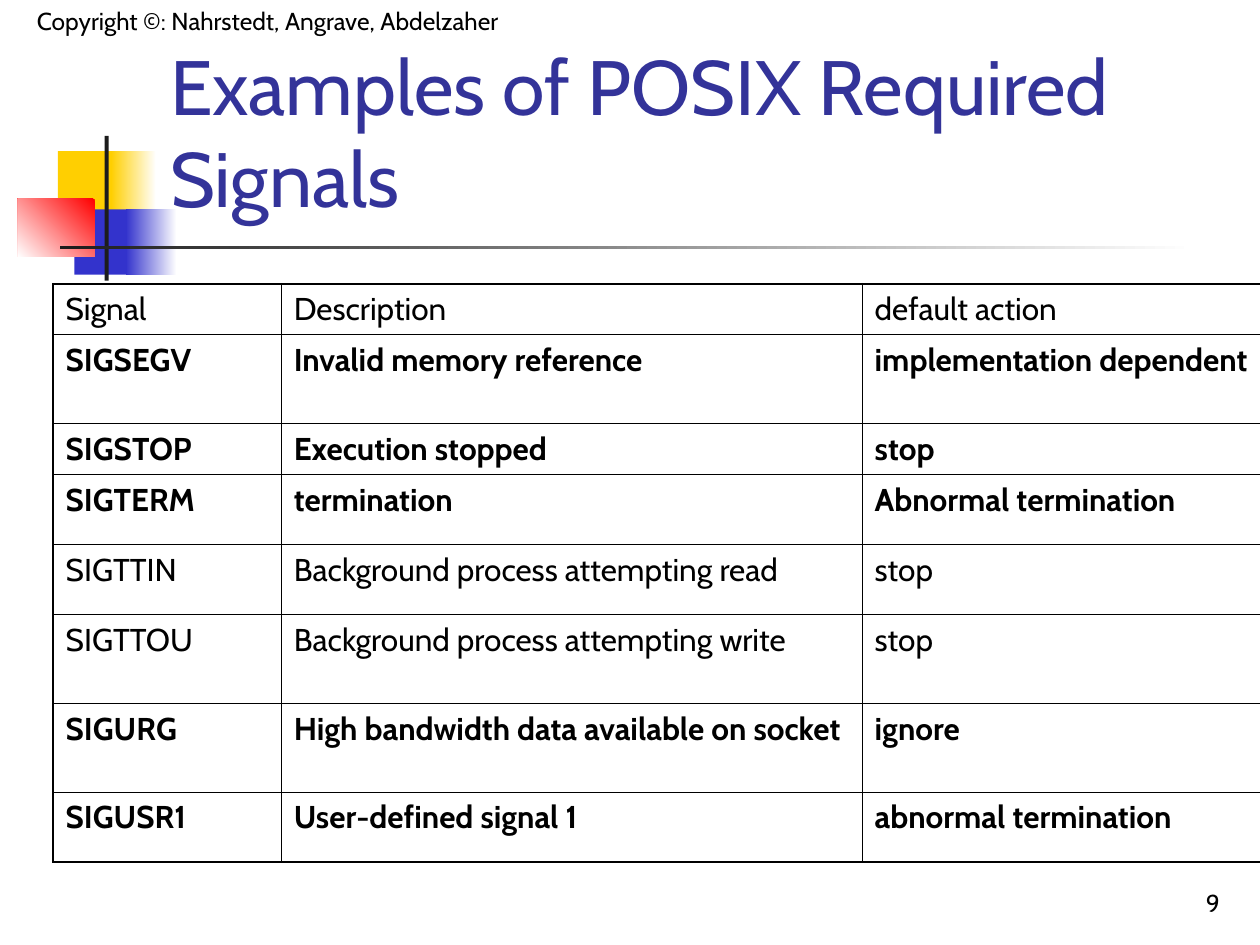
"""Builds a slide with a table of POSIX required signals."""
from lxml.etree import SubElement
from pptx import Presentation
from pptx.dml.color import RGBColor
from pptx.enum.shapes import MSO_SHAPE
from pptx.enum.text import MSO_ANCHOR, PP_ALIGN
from pptx.oxml.ns import qn
from pptx.util import Cm, Pt

BLACK = RGBColor(0x00, 0x00, 0x00)
CHARCOAL = RGBColor(0x1C, 0x1C, 0x1C)
WHITE = RGBColor(0xFF, 0xFF, 0xFF)
YELLOW = RGBColor(0xFF, 0xCF, 0x01)
BLUE = RGBColor(0x33, 0x33, 0xCC)
RED = RGBColor(0xFF, 0x00, 0x00)
INDIGO = RGBColor(0x33, 0x33, 0x99)

FONT = "Cabin"
OUTER, INNER = Pt(1.08), Pt(0.45)

COLUMNS = (4.6, 11.71, 8.03)
ROWS = (
    (1.03, False, "Signal", "Description", "default action"),
    (1.79, True, "SIGSEGV", "Invalid memory reference", "implementation dependent"),
    (1.03, True, "SIGSTOP", "Execution stopped", "stop"),
    (1.41, True, "SIGTERM", "termination", "Abnormal termination"),
    (1.41, False, "SIGTTIN", "Background process attempting read", "stop"),
    (1.79, False, "SIGTTOU", "Background process attempting write", "stop"),
    (1.79, True, "SIGURG", "High bandwidth data available on socket", "ignore"),
    (1.41, True, "SIGUSR1", "User-defined signal 1", "abnormal termination"),
)


def write(frame, text, size=18, color=BLACK, bold=False, align=PP_ALIGN.LEFT, before=0):
    para = frame.paragraphs[0]
    para.alignment = align
    para.space_before = Pt(before)
    span = para.add_run()
    span.text = text
    span.font.name = FONT
    span.font.size = Pt(size)
    span.font.bold = bold
    span.font.color.rgb = color


def draw_border(cell, side, width):
    properties = cell._tc.get_or_add_tcPr()
    line = SubElement(properties, qn(f"a:ln{side}"), w=str(int(width)))
    fill = SubElement(line, qn("a:solidFill"))
    SubElement(fill, qn("a:srgbClr"), val=str(BLACK))


class SlidePainter:
    def __init__(self, page):
        self.page = page

    def block(self, left, top, width, height, color, end=None, angle=0):
        shape = self.page.shapes.add_shape(
            MSO_SHAPE.RECTANGLE, Cm(left), Cm(top), Cm(width), Cm(height))
        shape.shadow.inherit = False
        shape.line.fill.background()
        if end is None:
            shape.fill.solid()
            shape.fill.fore_color.rgb = color
            return
        shape.fill.gradient()
        shape.fill.gradient_angle = angle
        for stop, shade in zip(shape.fill.gradient_stops, (color, end)):
            stop.color.rgb = shade

    def label(self, left, top, width, height, text, **style):
        box = self.page.shapes.add_textbox(Cm(left), Cm(top), Cm(width), Cm(height))
        frame = box.text_frame
        frame.word_wrap = True
        frame.vertical_anchor = MSO_ANCHOR.BOTTOM
        write(frame, text, **style)

    def table(self, left, top, columns, rows):
        heights = [row[0] for row in rows]
        table = self.page.shapes.add_table(
            len(rows), len(columns), Cm(left), Cm(top),
            Cm(sum(columns)), Cm(sum(heights))).table
        table.first_row = table.horz_banding = False
        for column, width in zip(table.columns, columns):
            column.width = Cm(width)
        last_row, last_column = len(rows) - 1, len(columns) - 1
        for y, (height, bold, *texts) in enumerate(rows):
            table.rows[y].height = Cm(height)
            for x, text in enumerate(texts):
                cell = table.cell(y, x)
                edges = {"L": x == 0, "R": x == last_column,
                         "T": y == 0, "B": y == last_row}
                for side, outer in edges.items():
                    draw_border(cell, side, OUTER if outer else INNER)
                cell.fill.background()
                write(cell.text_frame, text, bold=bold, before=4.5)


deck = Presentation()
deck.slide_width, deck.slide_height = Cm(25.4), Cm(19.05)
painter = SlidePainter(deck.slides.add_slide(deck.slide_layouts[6]))

painter.block(1.17, 3.05, 1.22, 1.32, YELLOW)
painter.block(2.24, 3.05, 0.91, 1.32, WHITE, end=YELLOW, angle=180)
painter.block(1.5, 4.22, 1.17, 1.32, BLUE)
painter.block(2.54, 4.22, 1.02, 1.32, WHITE, end=BLUE, angle=180)
painter.block(0.36, 4.01, 1.55, 1.17, RED, end=WHITE, angle=225)
painter.block(2.11, 2.74, 0.08, 2.92, CHARCOAL)
painter.block(1.22, 4.95, 22.86, 0.08, WHITE, end=CHARCOAL, angle=180)

painter.label(0, 0, 10.8, 0.84, "Copyright ©: Nahrstedt, Angrave, Abdelzaher",
              size=14, align=PP_ALIGN.CENTER)
painter.label(19.56, 17.35, 5.28, 1.27, "9", size=14, align=PP_ALIGN.RIGHT)
painter.table(1.07, 5.72, COLUMNS, ROWS)
painter.label(3.18, 2.11, 22.2, 2.51, "Examples of POSIX Required Signals",
              size=44, color=INDIGO)

deck.save("out.pptx")
